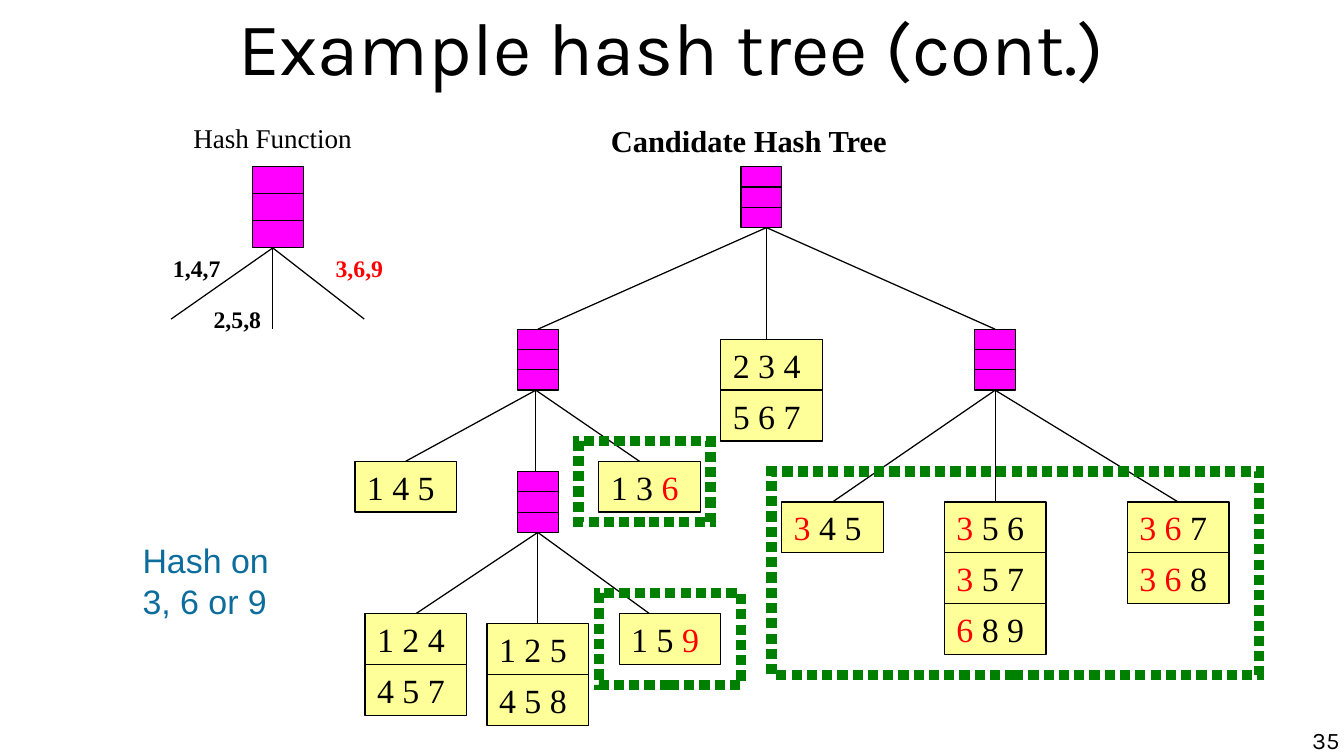
from dataclasses import dataclass

from lxml import etree
from pptx import Presentation
from pptx import util as u
from pptx.dml.color import RGBColor
from pptx.enum import shapes, text
from pptx.oxml import ns

COLORS = {"ink": "000000", "red": "FF0000", "node": "FF00FF", "leaf": "FFFF99",
          "frame": "008000", "note": "0C6D9C"}
SERIF = "Times New Roman"
CELL = 1 / 12  # side of a grid square, in inches
LEAF_WIDTH, LEAF_HEIGHT = 10, 5


@dataclass
class Box:
    """A region whose parts are placed in grid columns and rows."""
    left: float
    top: float

    def x(self, column):
        return u.Inches(self.left + column * CELL)

    def y(self, row):
        return u.Inches(self.top + row * CELL)

    def place(self, column, row, columns, rows):
        return (self.x(column), self.y(row),
                u.Inches(columns * CELL), u.Inches(rows * CELL))


def color(name):
    """Look up a named colour."""
    return RGBColor.from_string(COLORS[name])


def format_run(run, size, font, ink="ink", bold=False):
    """Set the look of one run."""
    run.font.size = u.Pt(size)
    run.font.name = font
    run.font.bold = bold
    run.font.color.rgb = color(ink)


def clear_margins(frame):
    """Remove the insets of a text frame."""
    frame.margin_left = frame.margin_right = frame.margin_top = frame.margin_bottom = 0


def add_text(slide, place, wording, size, font, ink="ink", bold=False, wrap=False):
    """Add a text box and return its text frame."""
    frame = slide.shapes.add_textbox(*place).text_frame
    frame.text = wording
    frame.word_wrap = wrap
    format_run(frame.paragraphs[0].runs[0], size, font, ink, bold)
    return frame


def add_line(slide, box, start, end):
    """Draw a thin line between two grid points."""
    line = slide.shapes.add_connector(shapes.MSO_CONNECTOR.STRAIGHT,
                                      box.x(start[0]), box.y(start[1]),
                                      box.x(end[0]), box.y(end[1]))
    line.line.color.rgb = color("ink")
    line.line.width = u.Pt(0.74)
    etree.SubElement(line._element.spPr, ns.qn("a:effectLst"))


def add_fan(slide, box, start, ends):
    """Draw the branches that leave one node."""
    for end in ends:
        add_line(slide, box, start, end)


def add_rectangle(slide, place, fill=None, line="ink", width=0.74):
    """Add an outlined rectangle, filled if a colour is named."""
    shape = slide.shapes.add_shape(shapes.MSO_SHAPE.RECTANGLE, *place)
    shape.shadow.inherit = False
    if fill:
        shape.fill.solid()
        shape.fill.fore_color.rgb = color(fill)
    else:
        shape.fill.background()
    shape.line.color.rgb = color(line)
    shape.line.width = u.Pt(width)
    return shape


def add_marker(slide, place):
    """Add a frame of square dashes with sharp corners."""
    shape = add_rectangle(slide, place, line="frame", width=6)
    outline = shape._element.spPr.find(ns.qn("a:ln"))
    dashes = etree.SubElement(outline, ns.qn("a:custDash"))
    etree.SubElement(dashes, ns.qn("a:ds"), d="100000", sp="50000")
    etree.SubElement(outline, ns.qn("a:miter"), lim="800000")


def add_node(slide, box, column, row, columns=4, rows=6):
    """Draw an inner node cut into three equal slots."""
    add_rectangle(slide, box.place(column, row, columns, rows), "node")
    for slot in (1, 2):
        level = row + rows * slot / 3
        add_line(slide, box, (column, level), (column + columns, level))


def add_leaf(slide, box, column, row, itemsets):
    """Stack the itemsets of a leaf; items between asterisks are red."""
    for index, itemset in enumerate(itemsets):
        shape = add_rectangle(slide, box.place(column, row + index * LEAF_HEIGHT,
                                               LEAF_WIDTH, LEAF_HEIGHT), "leaf")
        frame = shape.text_frame
        frame.word_wrap = False
        frame.vertical_anchor = text.MSO_ANCHOR.MIDDLE
        paragraph = frame.paragraphs[0]
        paragraph.alignment = text.PP_ALIGN.LEFT
        for part, wording in enumerate(itemset.split("*")):
            if wording:
                run = paragraph.add_run()
                run.text = wording
                format_run(run, 20, SERIF, "red" if part % 2 else "ink")


def add_hash_function(slide, box):
    """Draw the hash function with its three labelled branches."""
    add_node(slide, box, 9, 5, 5, 8)
    add_fan(slide, box, (11, 13), [(1, 20), (11, 21), (20, 20)])
    add_text(slide, box.place(2, 0, 20, 4.5), "Hash Function", 16, SERIF)
    for column, row, wording, ink in [(0, 13, "1,4,7", "ink"), (4, 18, "2,5,8", "ink"),
                                      (16, 13, "3,6,9", "red")]:
        add_text(slide, box.place(column, row, 8, 4), wording, 14, SERIF, ink, True)


def add_hash_tree(slide, box):
    """Draw the candidate tree: branches, nodes, leaves and marked parts."""
    fans = [((40.5, 11), [(18, 21), (40.5, 22), (63, 21)]),
            ((17.8, 27), [(5, 34), (17.8, 35), (28, 34)]),
            ((63, 27), [(47, 38), (63, 38), (81, 38)]),
            ((18, 41), [(6, 49), (18, 50), (29, 49)])]
    leaves = [(36, 22, ["2 3 4", "5 6 7"]), (0, 34, ["1 4 5"]), (24, 34, ["1 3 *6*"]),
              (42, 38, ["*3* 4 5"]), (58, 38, ["*3* 5 6", "*3* 5 7", "*6* 8 9"]),
              (76, 38, ["*3 6* 7", "*3 6* 8"]), (1, 49, ["1 2 4", "4 5 7"]),
              (13, 50, ["1 2 5", "4 5 8"]), (26, 49, ["1 5 *9*"])]
    marked = [(24, 47, 14, 9), (41, 35, 48, 20), (22, 32, 13, 8)]

    for start, ends in fans:
        add_fan(slide, box, start, ends)
    for column, row in [(38, 5), (16, 21), (61, 21), (16, 35)]:
        add_node(slide, box, column, row)
    for leaf in leaves:
        add_leaf(slide, box, *leaf)
    add_text(slide, box.place(24, 0, 32, 5), "Candidate Hash Tree", 18, SERIF, bold=True)
    for place in marked:
        add_marker(slide, box.place(*place))


def add_title(slide, box, wording):
    """Move and format the title placeholder."""
    title = slide.shapes.title
    title.left, title.top, title.width, title.height = box.place(0, 0, 119, 10)
    frame = title.text_frame
    frame.text = wording
    clear_margins(frame)
    frame.vertical_anchor = text.MSO_ANCHOR.MIDDLE
    frame.paragraphs[0].alignment = text.PP_ALIGN.CENTER
    format_run(frame.paragraphs[0].runs[0], 44, "Karla")


def add_page_number(slide, box, number):
    """Set the page number flush right in the bottom corner."""
    frame = add_text(slide, box.place(0, 0, 31, 3), number, 14, "Karla", wrap=True)
    clear_margins(frame)
    frame.paragraphs[0].alignment = text.PP_ALIGN.RIGHT


def main():
    """Build and save the presentation."""
    presentation = Presentation()
    presentation.slide_width = u.Inches(11.02)
    presentation.slide_height = u.Inches(6.2)
    slide = presentation.slides.add_slide(presentation.slide_layouts[5])
    add_title(slide, Box(0.55, -0.04), "Example hash tree (cont.)")
    add_hash_tree(slide, Box(2.91, 0.95))
    add_hash_function(slide, Box(1.32, 0.95))
    add_text(slide, Box(1.07, 4.38).place(0, 0, 15, 9), "Hash on 3, 6 or 9",
             20, "Arial", "note", wrap=True)
    add_page_number(slide, Box(8.4, 5.95), "35")
    presentation.save("out.pptx")


main()
